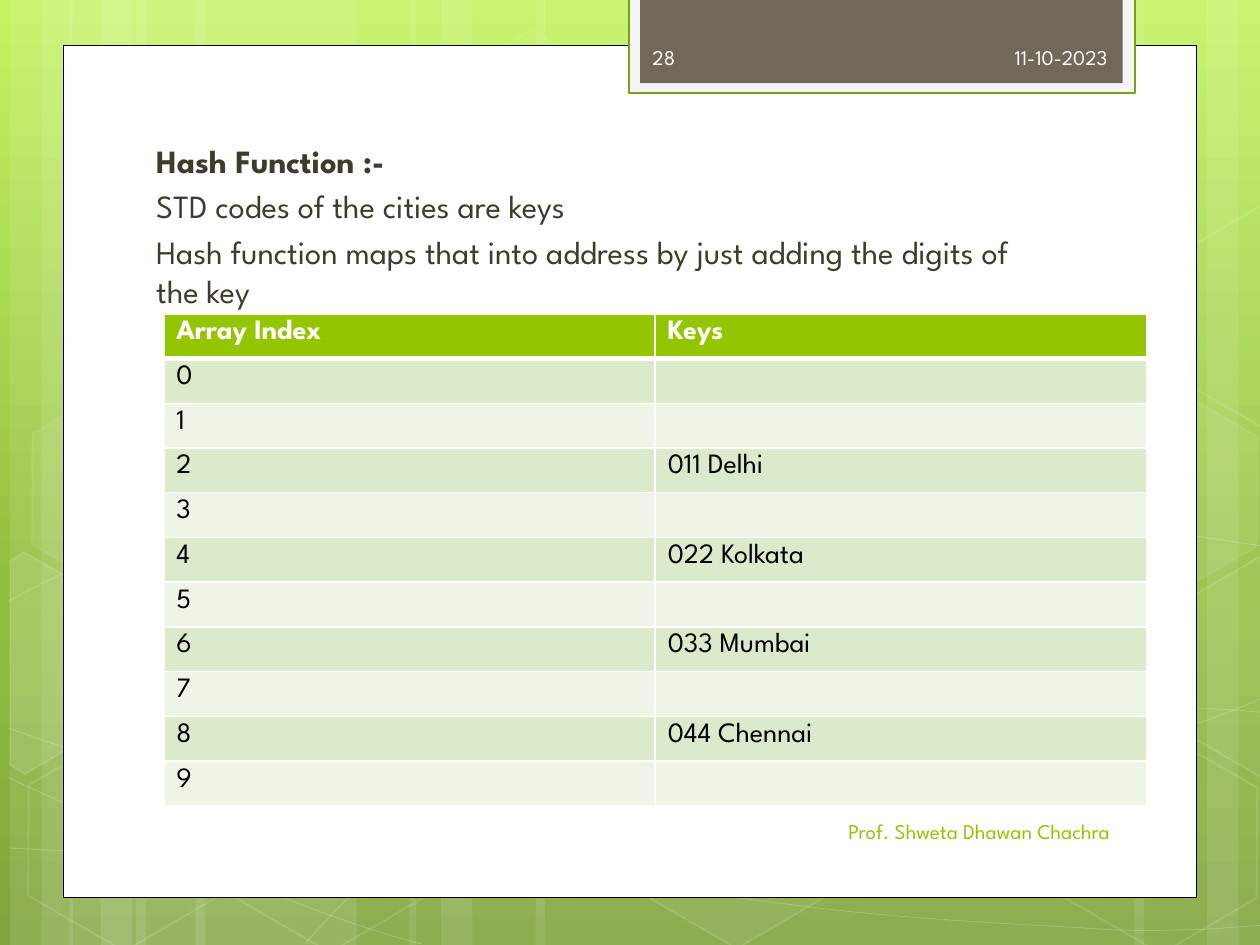
import copy
import math
from dataclasses import dataclass

import pptx
import pptx.dml.color
import pptx.enum.shapes
import pptx.enum.text
import pptx.oxml
import pptx.oxml.ns
import pptx.util

RGBColor = pptx.dml.color.RGBColor
Shapes = pptx.enum.shapes.MSO_SHAPE
Align = pptx.enum.text.PP_ALIGN
qn = pptx.oxml.ns.qn
NAMESPACE = pptx.oxml.ns.nsdecls("a")

COLUMNS, ROWS = 10, 7.5
FONT = "League Spartan"
WHITE, BLACK = RGBColor(0xFF, 0xFF, 0xFF), RGBColor(0, 0, 0)
LIME, LEAF = RGBColor(0x94, 0xC6, 0x00), RGBColor(0x74, 0xA5, 0x10)
MIST, TAUPE = RGBColor(0xF5, 0xF5, 0xF5), RGBColor(0x71, 0x68, 0x5A)
OLIVE, PALE = RGBColor(0x3E, 0x3D, 0x2D), RGBColor(0xFE, 0xFE, 0xFE)
BANDS = RGBColor(0xDC, 0xEA, 0xCC), RGBColor(0xEE, 0xF5, 0xE7)
SKY = ((0, RGBColor(0xC3, 0xF3, 0x5F)), (0.62, RGBColor(0x93, 0xBF, 0x3F)), (1, RGBColor(0x81, 0xA5, 0x3E)))
TILT = 30

@dataclass(frozen=True)
class Box:
    column: float
    row: float
    width: float
    height: float

    def lengths(self) -> list[int]:
        return [grid(n) for n in (self.column, self.row, self.width, self.height)]

@dataclass(frozen=True)
class Look:
    fill: RGBColor | None = None
    fill_opacity: int = 100
    line: RGBColor | None = None
    weight: float = 1
    line_opacity: int = 100

@dataclass(frozen=True)
class Wave:
    points: tuple
    straight: int | None = None

@dataclass(frozen=True)
class Hexagon:
    column: float
    row: float
    fill_opacity: int
    line_opacity: int

@dataclass(frozen=True)
class CutHexagon:
    center: tuple[float, float]
    corners: tuple
    fill_opacity: int

@dataclass(frozen=True)
class Label:
    text: str
    box: Box
    color: RGBColor
    align: Align

STRIPS = (
    (1.08, 1.75), (0.08, 0.5), (0.33, 0.83), (1.55, 1.75), (0.55, 0.5), (0.8, 0.83),
    (7.33, 1.75), (9.58, 0.5), (9, 0.83), (4.25, 3.08), (3.25, 0.5), (3.5, 0.83))
WAVES = (
    Wave(((0.07, 6.73), (0.61, 6.76), (1.15, 6.79), (1.9, 6.78), (2.65, 6.77), (3.58, 6.75), (4.58, 6.65),
          (5.58, 6.55), (7, 6.36), (7.92, 6.17), (8.83, 5.98), (9.77, 5.68), (10.07, 5.51))),
    Wave(((0.07, 4.77), (0.36, 4.61), (0.65, 4.46), (1.21, 4.31), (1.78, 4.16), (2.59, 3.94), (3.47, 3.87),
          (4.36, 3.8), (5.44, 3.79), (6.54, 3.87), (7.64, 3.95), (9.47, 4.26), (10.07, 4.34))),
    Wave(((0.06, 6.17), (1.27, 6.72), (2.47, 7.27), (3.34, 7.49))),
    Wave(((0.07, 5.78), (0.38, 5.89), (0.7, 6), (1.28, 6.16), (1.86, 6.31), (2.73, 6.56), (3.57, 6.73),
          (4.4, 6.9), (5.45, 7.08), (6.28, 7.18), (7.11, 7.29), (8, 7.33), (8.53, 7.36), (9.05, 7.4),
          (9.19, 7.38), (9.45, 7.38), (9.71, 7.37), (9.89, 7.35), (10.07, 7.34))),
    Wave(((2.42, 7.49), (2.6, 7.29), (2.78, 7.09), (3.02, 6.91), (3.26, 6.73), (3.6, 6.53), (3.88, 6.39),
          (4.16, 6.25), (4.33, 6.19), (4.7, 6.09), (5.06, 5.99), (5.73, 5.85), (6.08, 5.78), (6.44, 5.71),
          (6.49, 5.71), (6.8, 5.69), (7.11, 5.66), (7.6, 5.63), (7.94, 5.62), (8.29, 5.61), (8.86, 5.62),
          (8.86, 5.62), (9.53, 5.62), (9.71, 5.63), (9.88, 5.64), (9.97, 5.65), (10.06, 5.66),
          (10.03, 5.65), (10.06, 5.66)), straight=21))
LEFT_CUT = (0.08, 4.45), (0.19, 4.38), (0.96, 4.82), (0.95, 5.7), (0.2, 6.14), (0.08, 6.07)
RIGHT_CUT = (9.26, 4.85), (10.01, 4.41), (10.09, 4.46), (10.09, 6.13), (10.02, 6.17), (9.26, 5.73)
UPPER_CUT = tuple((column, row - 2.78) for column, row in RIGHT_CUT)
HEXAGONS = (
    Hexagon(3.34, 0.36, 4, 8), Hexagon(4.97, 5.89, 6, 12), CutHexagon((0.36, 5.35), LEFT_CUT, 10),
    Hexagon(0.11, 5.91, 0, 12), Hexagon(0.14, 3.12, 7, 8), Hexagon(1.74, 5.92, 0, 12),
    Hexagon(7.53, 4.53, 10, 12), Hexagon(8.34, 5.93, 0, 12), Hexagon(8.34, 3.14, 7, 8),
    CutHexagon((9.85, 5.2), RIGHT_CUT, 4), CutHexagon((9.85, 2.42), UPPER_CUT, 0))
PANELS = (
    (Box(0.5, 0.36, 9, 6.76), Look(WHITE, line=BLACK, weight=0.5)),
    (Box(4.99, -0.02, 4.02, 0.76), Look(MIST, line=LEAF, weight=1.25)),
    (Box(5.08, -0.02, 3.83, 0.68), Look(TAUPE)))
EXPLANATION = (
    "Hash Function :-", "STD codes of the cities are keys",
    "Hash function maps that into address by just adding the digits of the key")
LABELS = (
    Label("11-10-2023", Box(6.56, 0.25, 2.33, 0.4), PALE, Align.RIGHT),
    Label("Prof. Shweta Dhawan Chachra", Box(5.08, 6.4, 3.83, 0.4), LIME, Align.RIGHT),
    Label("28", Box(5.08, 0.25, 1.46, 0.4), PALE, Align.LEFT))
HEADINGS = "Array Index", "Keys"
CITIES = {2: "011 Delhi", 4: "022 Kolkata", 6: "033 Mumbai", 8: "044 Chennai"}
HASH_TABLE = Box(1.3, 2.49, 7.8, 3.91)

def grid(cells: float) -> int:
    return pptx.util.Inches(cells)

def fade(parent, opacity: int) -> None:
    if opacity < 100:
        color = parent.find(f"{qn('a:solidFill')}/{qn('a:srgbClr')}")
        color.append(pptx.oxml.parse_xml(f'<a:alpha {NAMESPACE} val="{opacity * 1000}"/>'))

def paint(shape, look: Look) -> None:
    shape.shadow.inherit = False
    if look.fill is None or look.fill_opacity == 0:
        shape.fill.background()
    else:
        shape.fill.solid()
        shape.fill.fore_color.rgb = look.fill
        fade(shape.element.spPr, look.fill_opacity)
    if look.line is None:
        shape.line.fill.background()
    else:
        shape.line.color.rgb = look.line
        shape.line.width = pptx.util.Pt(look.weight)
        fade(shape.element.spPr.find(qn("a:ln")), look.line_opacity)

def draw_shape(slide, kind: Shapes, box: Box, look: Look):
    shape = slide.shapes.add_shape(kind, *box.lengths())
    paint(shape, look)
    return shape

def draw_outline(slide, points, look: Look, close: bool):
    start, *rest = [(grid(column), grid(row)) for column, row in points]
    builder = slide.shapes.build_freeform(*start)
    builder.add_line_segments(rest, close=close)
    outline = builder.convert_to_shape()
    paint(outline, look)
    return outline

def draw_wave(slide, wave: Wave) -> None:
    outline = draw_outline(slide, wave.points, Look(line=WHITE, weight=0.5, line_opacity=20), False)
    segments = list(outline.element.spPr.iter(qn("a:lnTo")))
    if wave.straight is not None:
        del segments[wave.straight]
    for first in range(0, len(segments), 3):
        bend = pptx.oxml.parse_xml(f"<a:cubicBezTo {NAMESPACE}/>")
        segments[first].addprevious(bend)
        for segment in segments[first:first + 3]:
            bend.append(segment[0])
            segment.getparent().remove(segment)

def draw_hexagon(slide, item: Hexagon) -> None:
    hexagon = draw_shape(slide, Shapes.HEXAGON, Box(item.column, item.row, 1.75, 1.52),
                         Look(WHITE, item.fill_opacity, WHITE, 1, item.line_opacity))
    hexagon.adjustments[0] = 0.285
    hexagon.rotation = TILT

def draw_cut_hexagon(slide, item: CutHexagon) -> None:
    x, y = item.center
    cos, sin = math.cos(math.radians(TILT)), math.sin(math.radians(TILT))
    upright = [(x + (column - x) * cos + (row - y) * sin, y - (column - x) * sin + (row - y) * cos)
               for column, row in item.corners]
    draw_outline(slide, upright, Look(WHITE, item.fill_opacity, WHITE, 1, 12), True).rotation = TILT

def draw_background(slide) -> None:
    fill = slide.background.fill
    fill.gradient()
    fill.gradient_angle = 270
    stops = slide.element.find(f".//{qn('a:gsLst')}")
    stops.insert(1, copy.deepcopy(stops[0]))
    for stop, (position, color) in zip(fill.gradient_stops, SKY):
        stop.position, stop.color.rgb = position, color
    for column, width in STRIPS:
        draw_shape(slide, Shapes.RECTANGLE, Box(column, 0, width, ROWS), Look(WHITE, 10))
    for wave in WAVES:
        draw_wave(slide, wave)
    for item in HEXAGONS:
        (draw_hexagon if isinstance(item, Hexagon) else draw_cut_hexagon)(slide, item)
    for box, look in PANELS:
        draw_shape(slide, Shapes.RECTANGLE, box, look)

def style(paragraph, size: float, color: RGBColor, bold: bool = False) -> None:
    font = paragraph.font
    font.name, font.size, font.bold = FONT, pptx.util.Pt(size), bold
    font.color.rgb = color

def add_text(slide, box: Box, text: str):
    frame = slide.shapes.add_textbox(*box.lengths()).text_frame
    frame.word_wrap = True
    frame.text = text
    return frame

def draw_explanation(slide) -> None:
    frame = add_text(slide, Box(1.06, 1.07, 7.41, 5.51), "\n".join(EXPLANATION))
    frame.margin_left = grid(0.18)
    for number, paragraph in enumerate(frame.paragraphs):
        style(paragraph, 18.5, OLIVE, number == 0)
        paragraph.space_before = pptx.util.Pt(3.7)

def draw_label(slide, label: Label) -> None:
    frame = add_text(slide, label.box, label.text)
    frame.vertical_anchor = pptx.enum.text.MSO_ANCHOR.MIDDLE
    frame.paragraphs[0].alignment = label.align
    style(frame.paragraphs[0], 12, label.color)

def draw_borders(cell, header: bool) -> None:
    for position, side in enumerate(("lnL", "lnR", "lnT", "lnB")):
        weight = pptx.util.Pt(3 if header and side == "lnB" else 1)
        cell._tc.get_or_add_tcPr().insert(position, pptx.oxml.parse_xml(
            f'<a:{side} {NAMESPACE} w="{weight}"><a:solidFill><a:srgbClr val="{WHITE}"/></a:solidFill></a:{side}>'))

def draw_hash_table(slide) -> None:
    rows = [HEADINGS] + [(str(index), CITIES.get(index, "")) for index in range(10)]
    table = slide.shapes.add_table(len(rows), len(HEADINGS), *HASH_TABLE.lengths()).table
    for number, row in enumerate(rows):
        header = number == 0
        for column, text in enumerate(row):
            cell = table.cell(number, column)
            cell.text = text
            cell.margin_bottom = 0
            cell.fill.solid()
            cell.fill.fore_color.rgb = LIME if header else BANDS[(number - 1) % 2]
            style(cell.text_frame.paragraphs[0], 16, WHITE if header else BLACK, header)
            draw_borders(cell, header)

def main() -> None:
    deck = pptx.Presentation()
    deck.slide_width, deck.slide_height = grid(COLUMNS), grid(ROWS)
    slide = deck.slides.add_slide(deck.slide_layouts[6])
    draw_background(slide)
    draw_explanation(slide)
    for label in LABELS:
        draw_label(slide, label)
    draw_hash_table(slide)
    deck.save("out.pptx")

if __name__ == "__main__":
    main()
